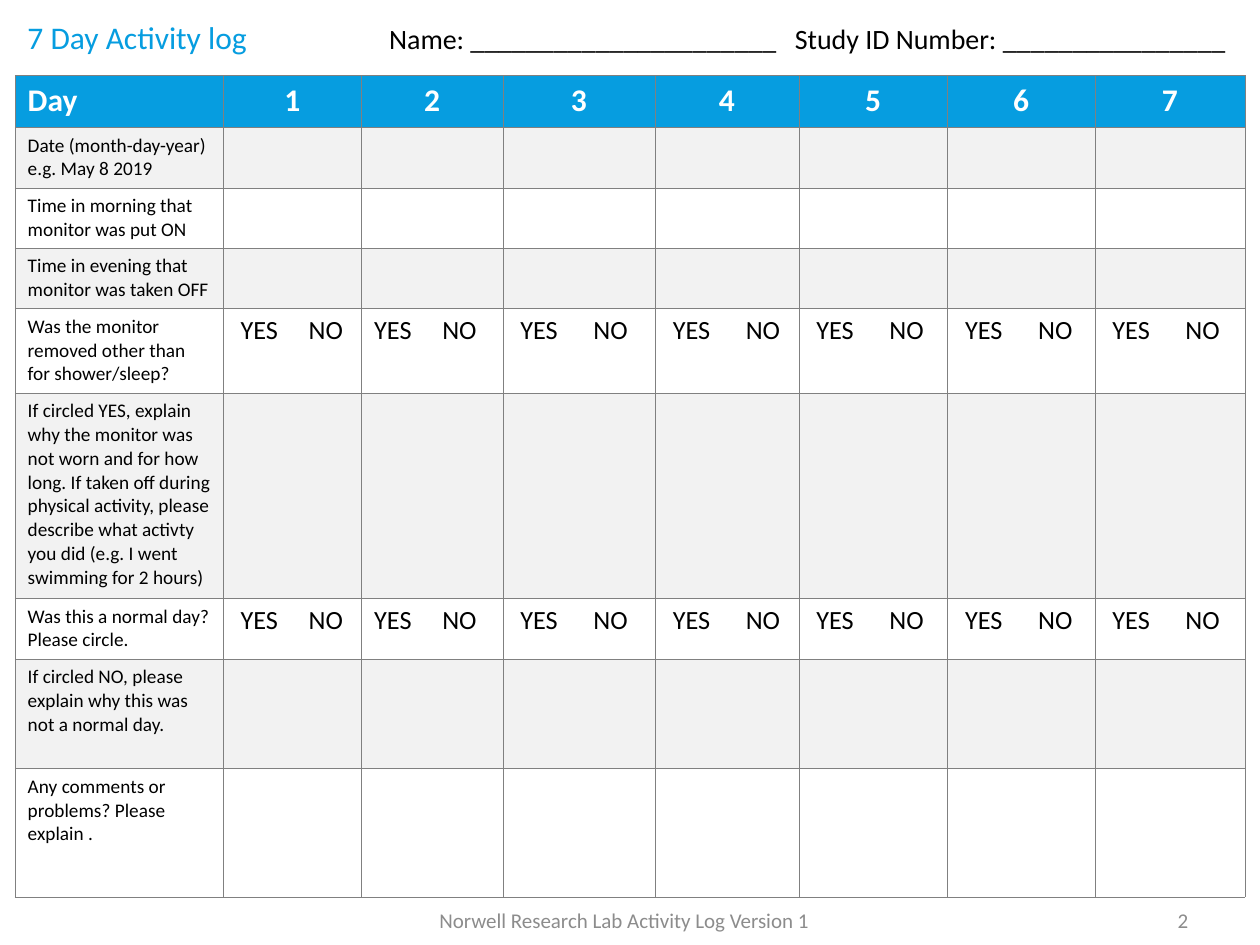
from lxml.etree import SubElement
from pptx import Presentation
from pptx.dml.color import RGBColor
from pptx.enum.text import MSO_ANCHOR, PP_ALIGN
from pptx.oxml.ns import qn
from pptx.util import Inches, Pt

BLUE = RGBColor(0x06, 0x9D, 0xE0)
BLACK = RGBColor(0, 0, 0)
WHITE = RGBColor(0xFF, 0xFF, 0xFF)
PALE = RGBColor(0xF2, 0xF2, 0xF2)
GREY = RGBColor(0x8C, 0x8C, 0x8C)
BORDER = RGBColor(0x80, 0x80, 0x80)


def write(frame, text, size, color, align=PP_ALIGN.LEFT, bold=False, tab=None):
    """Fill a text frame with one paragraph, with an optional tab stop in inches."""
    line = frame.paragraphs[0]
    line.text = text
    line.alignment = align
    line.font.name = "Calibri"
    line.font.size = Pt(size)
    line.font.bold = bold
    line.font.color.rgb = color
    if tab:
        stops = SubElement(line._p.get_or_add_pPr(), qn("a:tabLst"))
        SubElement(stops, qn("a:tab"), pos=str(Inches(tab)), algn="l")
        # Paragraph properties keep tab stops ahead of the default run format
        stops.getparent().insert(0, stops)


def add_text(left, top, width, height, text, size, color,
             align=PP_ALIGN.LEFT, anchor=MSO_ANCHOR.MIDDLE, tab=None):
    box = slide.shapes.add_textbox(Inches(left), Inches(top), Inches(width), Inches(height))
    box.text_frame.word_wrap = True
    box.text_frame.vertical_anchor = anchor
    write(box.text_frame, text, size, color, align, tab=tab)


prs = Presentation()
prs.slide_width, prs.slide_height = Inches(10), Inches(7.5)
slide = prs.slides.add_slide(prs.slide_layouts[6])

# Title
add_text(0.12, -0.22, 9, 1.02, "7 Day Activity log", 18, BLUE)

# Log table: one row per question, one column per day
YES_NO = "YES\tNO"
questions = [
    ("Date (month-day-year) e.g. May 8 2019", "", 0.48),
    ("Time in morning that monitor was put ON", "", 0.48),
    ("Time in evening that monitor was taken OFF", "", 0.48),
    ("Was the monitor removed other than for shower/sleep?", YES_NO, 0.67),
    ("If circled YES, explain why the monitor was not worn and for how long. "
     "If taken off during physical activity, please describe what activty "
     "you did (e.g. I went swimming for 2 hours)", "", 1.63),
    ("Was this a normal day? Please circle.", YES_NO, 0.48),
    ("If circled NO, please explain why this was not a normal day.", "", 0.87),
    ("Any comments or problems? Please explain .", "", 1.02),
]
column_widths = [1.65, 1.1, 1.12, 1.21, 1.14, 1.18, 1.17, 1.19]
row_heights = [0.41] + [height for _, _, height in questions]
log = slide.shapes.add_table(
    len(row_heights), len(column_widths), Inches(0.12), Inches(0.6),
    Inches(sum(column_widths)), Inches(sum(row_heights))).table
for column, width in zip(log.columns, column_widths):
    column.width = Inches(width)
for row, height in zip(log.rows, row_heights):
    row.height = Inches(height)

# Borders and banded fills
for r, row in enumerate(log.rows):
    for cell in row.cells:
        properties = cell._tc.get_or_add_tcPr()
        for side in ("a:lnL", "a:lnR", "a:lnT", "a:lnB"):
            edge = SubElement(properties, qn(side), w=str(Pt(0.25)))
            SubElement(SubElement(edge, qn("a:solidFill")), qn("a:srgbClr"), val=str(BORDER))
        cell.fill.solid()
        cell.fill.fore_color.rgb = BLUE if r == 0 else PALE if r % 2 else WHITE

# Header row
write(log.cell(0, 0).text_frame, "Day", 18, WHITE, bold=True)
for day in range(1, 8):
    write(log.cell(0, day).text_frame, str(day), 18, WHITE, PP_ALIGN.CENTER, bold=True)

# Questions and the answers to circle
for r, (question, answer, _) in enumerate(questions, start=1):
    write(log.cell(r, 0).text_frame, question, 11, BLACK)
    if answer:
        for day in range(1, 8):
            choice = log.cell(r, day)
            choice.margin_left = Inches(0.1 if day == 2 else 0.14)
            choice.margin_right = Inches(0.05)
            write(choice.text_frame, answer, 15, BLACK, tab=0.54 if day <= 2 else 0.58)

# Participant details
add_text(2.99, 0.12, 7.01, 0.37,
         "Name: " + "_" * 22 + "\tStudy ID Number: " + "_" * 16,
         16, BLACK, anchor=MSO_ANCHOR.TOP, tab=3.22)

# Footer and page number
add_text(3.37, 7.1, 3.17, 0.4, "Norwell Research Lab Activity Log Version 1",
         12, GREY, PP_ALIGN.CENTER)
add_text(7.2, 7.1, 2.33, 0.4, "2", 12, GREY, PP_ALIGN.RIGHT)

prs.save("out.pptx")
